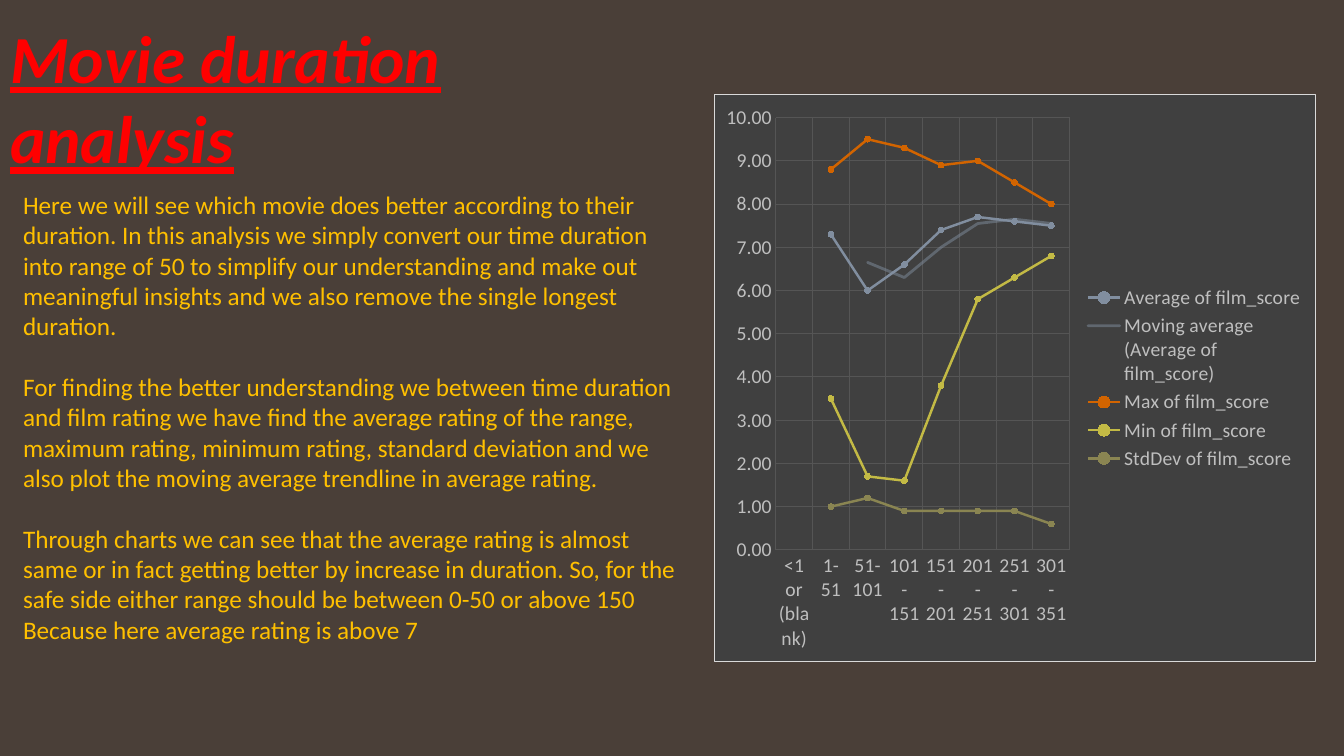
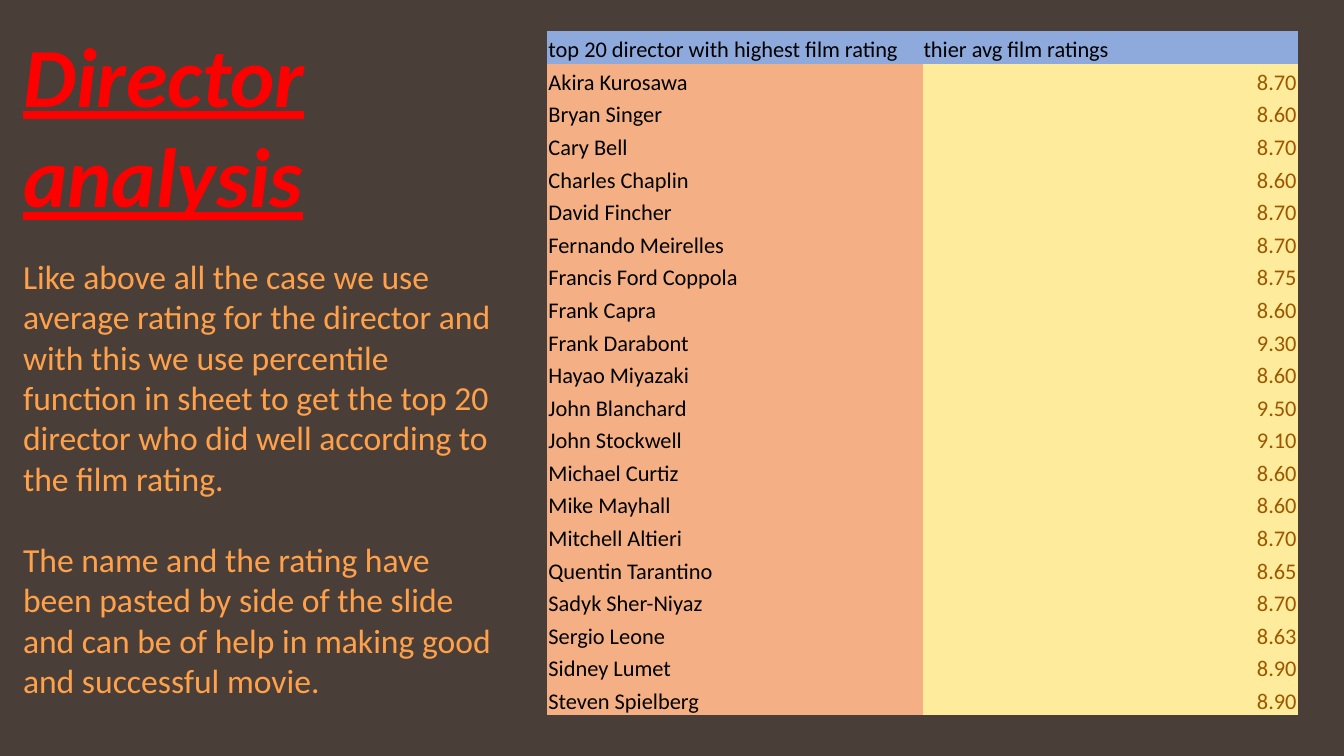
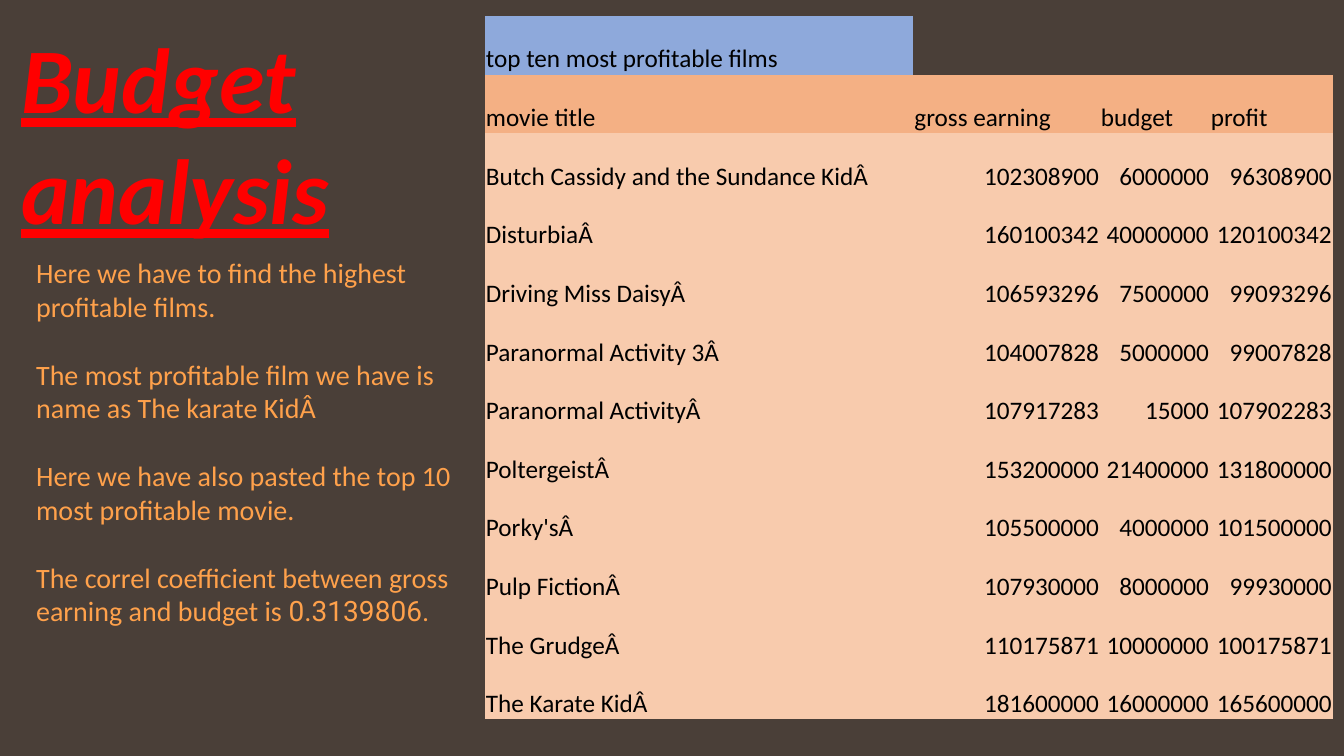
from lxml import etree
from pptx import Presentation
from pptx.chart.data import CategoryChartData
from pptx.dml.color import RGBColor
from pptx.enum.chart import XL_CHART_TYPE, XL_LEGEND_POSITION, XL_MARKER_STYLE, XL_TICK_MARK
from pptx.enum.text import MSO_ANCHOR, MSO_AUTO_SIZE, PP_ALIGN
from pptx.oxml import parse_xml
from pptx.oxml.ns import nsdecls, qn
from pptx.util import Inches, Pt

LINE_MARKERS = XL_CHART_TYPE.LINE_MARKERS
LEGEND_RIGHT = XL_LEGEND_POSITION.RIGHT
CIRCLE = XL_MARKER_STYLE.CIRCLE
NO_TICK = XL_TICK_MARK.NONE
TOP, BOTTOM = MSO_ANCHOR.TOP, MSO_ANCHOR.BOTTOM
LEFT, RIGHT = PP_ALIGN.LEFT, PP_ALIGN.RIGHT
NO_AUTOFIT = MSO_AUTO_SIZE.NONE

# Shared style
FONT = "Calibri"
BACKGROUND, TITLE_RED = "4A3F38", "FF0000"
GOLD, ORANGE, BLACK = "FFC000", "FFA14B", "000000"
BLUE, SALMON, PEACH = "8EA9DB", "F4B084", "F8CBAD"
YELLOW, BROWN = "FFEB9C", "9C5700"
PANEL, PANEL_EDGE, GRID, LABEL = "404040", "D9D9D9", "555555", "BFBFBF"
LINE_HEIGHT = 1.22
PLAIN_TABLE = "{2D5ABB26-0587-4C30-8999-92F81FD0307C}"
TITLE_ONLY = 5

# Chart content
DURATIONS = ["<1 or (blank)", "1-51", "51-101", "101-151", "151-201",
             "201-251", "251-301", "301-351"]
SCORES = [
    ("Average of film_score", "818E9F", [None, 7.3, 6, 6.6, 7.4, 7.7, 7.6, 7.5]),
    ("Max of film_score", "D26400", [None, 8.8, 9.5, 9.3, 8.9, 9, 8.5, 8]),
    ("Min of film_score", "C3BA45", [None, 3.5, 1.7, 1.6, 3.8, 5.8, 6.3, 6.8]),
    ("StdDev of film_score", "8A8552", [None, 1, 1.2, 0.9, 0.9, 0.9, 0.9, 0.6]),
]

# Table content
DIRECTORS = [
    ("Akira Kurosawa", "8.70"), ("Bryan Singer", "8.60"), ("Cary Bell", "8.70"),
    ("Charles Chaplin", "8.60"), ("David Fincher", "8.70"),
    ("Fernando Meirelles", "8.70"), ("Francis Ford Coppola", "8.75"),
    ("Frank Capra", "8.60"), ("Frank Darabont", "9.30"), ("Hayao Miyazaki", "8.60"),
    ("John Blanchard", "9.50"), ("John Stockwell", "9.10"), ("Michael Curtiz", "8.60"),
    ("Mike Mayhall", "8.60"), ("Mitchell Altieri", "8.70"),
    ("Quentin Tarantino", "8.65"), ("Sadyk Sher-Niyaz", "8.70"),
    ("Sergio Leone", "8.63"), ("Sidney Lumet", "8.90"), ("Steven Spielberg", "8.90"),
]
FILMS = [
    ("Butch Cassidy and the Sundance KidÂ", "102308900", "6000000", "96308900"),
    ("DisturbiaÂ", "160100342", "40000000", "120100342"),
    ("Driving Miss DaisyÂ", "106593296", "7500000", "99093296"),
    ("Paranormal Activity 3Â", "104007828", "5000000", "99007828"),
    ("Paranormal ActivityÂ", "107917283", "15000", "107902283"),
    ("PoltergeistÂ", "153200000", "21400000", "131800000"),
    ("Porky'sÂ", "105500000", "4000000", "101500000"),
    ("Pulp FictionÂ", "107930000", "8000000", "99930000"),
    ("The GrudgeÂ", "110175871", "10000000", "100175871"),
    ("The Karate KidÂ", "181600000", "16000000", "165600000"),
]


def rgb(value):
    return RGBColor.from_string(value)


def inches(box):
    return [Inches(length) for length in box]


def set_font(font, size, color, name=FONT):
    font.size, font.name = Pt(size), name
    font.color.rgb = rgb(color)


def add_span(para, text, size, color, name=FONT):
    span = para.add_run()
    span.text = text
    set_font(span.font, size, color, name)
    return span


def add_page(deck, title, box, size):
    """Add a page with the shared title style."""
    page = deck.slides.add_slide(deck.slide_layouts[TITLE_ONLY])
    shape = page.shapes.title
    shape.left, shape.top, shape.width, shape.height = inches(box)
    frame = shape.text_frame
    frame.word_wrap, frame.auto_size, frame.vertical_anchor = True, NO_AUTOFIT, TOP
    para = frame.paragraphs[0]
    para.alignment = LEFT
    font = add_span(para, title, size, TITLE_RED).font
    font.bold = font.italic = font.underline = True
    return page


def add_body(page, box, size, color, blocks):
    """Each block is a list of paragraphs; a paragraph is a list of (text, font)."""
    frame = page.shapes.add_textbox(*inches(box)).text_frame
    frame.word_wrap = True
    para = frame.paragraphs[0]
    for block_number, block in enumerate(blocks):
        for line_number, spans in enumerate(block):
            if block_number or line_number:
                para = frame.add_paragraph()
            if block_number and not line_number:
                para.space_before = Pt(round(size * LINE_HEIGHT, 1))
            for text, name in spans:
                add_span(para, text, size, color, name)


def plain(*lines):
    return [[(line, FONT)] for line in lines]


def add_grid(page, box, widths, size, rows):
    """Each row lists cells as (text, fill, color, alignment), or None if empty."""
    frame = page.shapes.add_table(len(rows), len(widths), *inches(box))
    table = frame.table
    table.first_row = table.horz_banding = False
    next(frame.element.iter(qn("a:tableStyleId"))).text = PLAIN_TABLE
    for column, width in zip(table.columns, widths):
        column.width = Inches(width)
    for row, contents in zip(table.rows, rows):
        for cell, content in zip(row.cells, contents):
            if content is None:
                cell.fill.background()
                continue
            text, fill, color, alignment = content
            cell.fill.solid()
            cell.fill.fore_color.rgb = rgb(fill)
            cell.vertical_anchor = BOTTOM
            cell.margin_left = cell.margin_right = cell.margin_top = Inches(0.01)
            cell.margin_bottom = 0
            para = cell.text_frame.paragraphs[0]
            para.alignment = alignment
            add_span(para, text, size, color)


def style_axis(axis):
    axis.major_tick_mark = axis.minor_tick_mark = NO_TICK
    axis.has_major_gridlines = True
    grid = axis.major_gridlines.format.line
    grid.width = Pt(0.75)
    grid.color.rgb = rgb(GRID)
    axis.format.line.fill.background()
    set_font(axis.tick_labels.font, 14, LABEL)


def add_moving_average(series, name, color):
    trend = parse_xml(
        f'<c:trendline {nsdecls("c", "a")}><c:name>{name}</c:name>'
        f'<c:spPr><a:ln w="{Pt(2)}" cap="rnd"><a:solidFill><a:srgbClr val="{color}">'
        '<a:alpha val="50000"/></a:srgbClr></a:solidFill></a:ln></c:spPr>'
        '<c:trendlineType val="movingAvg"/><c:period val="2"/>'
        '<c:dispRSqr val="0"/><c:dispEq val="0"/></c:trendline>')
    series.format.line  # spPr comes before the trend line
    next(series._element.iter(qn("c:cat"))).addprevious(trend)


def fill_chart_panel(chart):
    panel = etree.fromstring(
        f'<c:spPr {nsdecls("c", "a")}><a:solidFill><a:srgbClr val="{PANEL}"/></a:solidFill>'
        f'<a:ln w="{Pt(0.75)}"><a:solidFill><a:srgbClr val="{PANEL_EDGE}"/>'
        '</a:solidFill></a:ln></c:spPr>')
    next(chart.element.iter(qn("c:chart"))).addnext(panel)


def add_score_chart(page, box):
    data = CategoryChartData()
    data.categories = DURATIONS
    for name, _, values in SCORES:
        data.add_series(name, values)
    chart = page.shapes.add_chart(LINE_MARKERS, *inches(box), data).chart
    set_font(chart.font, 14, LABEL)
    fill_chart_panel(chart)
    chart.has_title = False
    chart.has_legend = True
    chart.legend.position = LEGEND_RIGHT
    chart.legend.include_in_layout = False
    set_font(chart.legend.font, 14, LABEL)

    style_axis(chart.category_axis)
    style_axis(chart.value_axis)
    labels = chart.value_axis.tick_labels
    labels.number_format, labels.number_format_is_linked = "0.00", False

    plot = chart.plots[0]
    plot.vary_by_categories = False
    for series, (_, color, _) in zip(plot.series, SCORES):
        series.smooth = False
        series.format.line.width = Pt(1.75)
        series.format.line.color.rgb = rgb(color)
        marker = series.marker
        marker.style, marker.size = CIRCLE, 4
        marker.format.fill.solid()
        marker.format.fill.fore_color.rgb = rgb(color)
        marker.format.line.color.rgb = rgb(color)
    name, color, _ = SCORES[0]
    add_moving_average(plot.series[0], f"Moving average ({name})", color)


def build_duration_page(deck):
    page = add_page(deck, "Movie duration analysis", (0, 0.11, 6.52, 1.72), 48)
    add_score_chart(page, (7.08, 0.93, 5.97, 5.64))
    add_body(page, (0.13, 1.83, 6.68, 4.95), 18, GOLD, [
        plain("Here we will see which movie does better according to their duration. "
              "In this analysis we simply convert our time duration into range of 50 to "
              "simplify our understanding and make out meaningful insights and we also "
              "remove the single longest duration."),
        plain("For finding the better understanding we between time duration and film "
              "rating we have find the average rating of the range, maximum rating, "
              "minimum rating, standard deviation and we also plot the moving average "
              "trendline in average rating."),
        plain("Through charts we can see that the average rating is almost same or in "
              "fact getting better by increase in duration. So, for the safe side either "
              "range should be between 0-50 or above 150",
              "Because here average rating is above 7"),
    ])


def build_director_page(deck):
    page = add_page(deck, "Director analysis", (0.13, 0.18, 4.98, 2.12), 60)
    headings = ("top 20 director with highest film rating", "thier avg film ratings")
    rows = [[(text, BLUE, BLACK, LEFT) for text in headings]]
    rows += [[(name, SALMON, BLACK, LEFT), (rating, YELLOW, BROWN, RIGHT)]
             for name, rating in DIRECTORS]
    add_grid(page, (5.43, 0.31, 7.44, 6.79), [3.72, 3.72], 16, rows)
    add_body(page, (0.13, 2.49, 4.98, 4.54), 24, ORANGE, [
        plain("Like above all the case we use average rating for the director and with "
              "this we use percentile function in sheet to get the top 20 director who "
              "did well according to the film rating."),
        plain("The name and the rating have been pasted by side of the slide and can be "
              "of help in making good and successful movie."),
    ])


def build_budget_page(deck):
    page = add_page(deck, "Budget analysis", (0.11, 0.16, 5, 2.32), 66)
    add_body(page, (0.26, 2.49, 4.55, 4.14), 20, ORANGE, [
        plain("Here we have to find the highest profitable films."),
        plain("The most profitable film we have is name as The karate KidÂ"),
        plain("Here we have also pasted the top 10 most profitable movie."),
        [[("The correl coefficient between gross earning and budget is ", FONT),
          ("0.3139806.", "Roboto")]],
    ])
    headings = ("movie title", "gross earning", "budget", "profit")
    rows = [[("top ten most profitable films", BLUE, BLACK, LEFT), None, None, None],
            [(text, SALMON, BLACK, LEFT) for text in headings]]
    rows += [[(title, PEACH, BLACK, LEFT)] + [(text, PEACH, BLACK, RIGHT) for text in money]
             for title, *money in FILMS]
    add_grid(page, (4.81, 0.16, 8.41, 6.98), [4.25, 1.85, 1.09, 1.22], 18, rows)


def main():
    deck = Presentation()
    deck.slide_width, deck.slide_height = Inches(13.33), Inches(7.5)
    fill = deck.slide_master.background.fill
    fill.solid()
    fill.fore_color.rgb = rgb(BACKGROUND)
    build_duration_page(deck)
    build_director_page(deck)
    build_budget_page(deck)
    deck.save("out.pptx")


if __name__ == "__main__":
    main()
